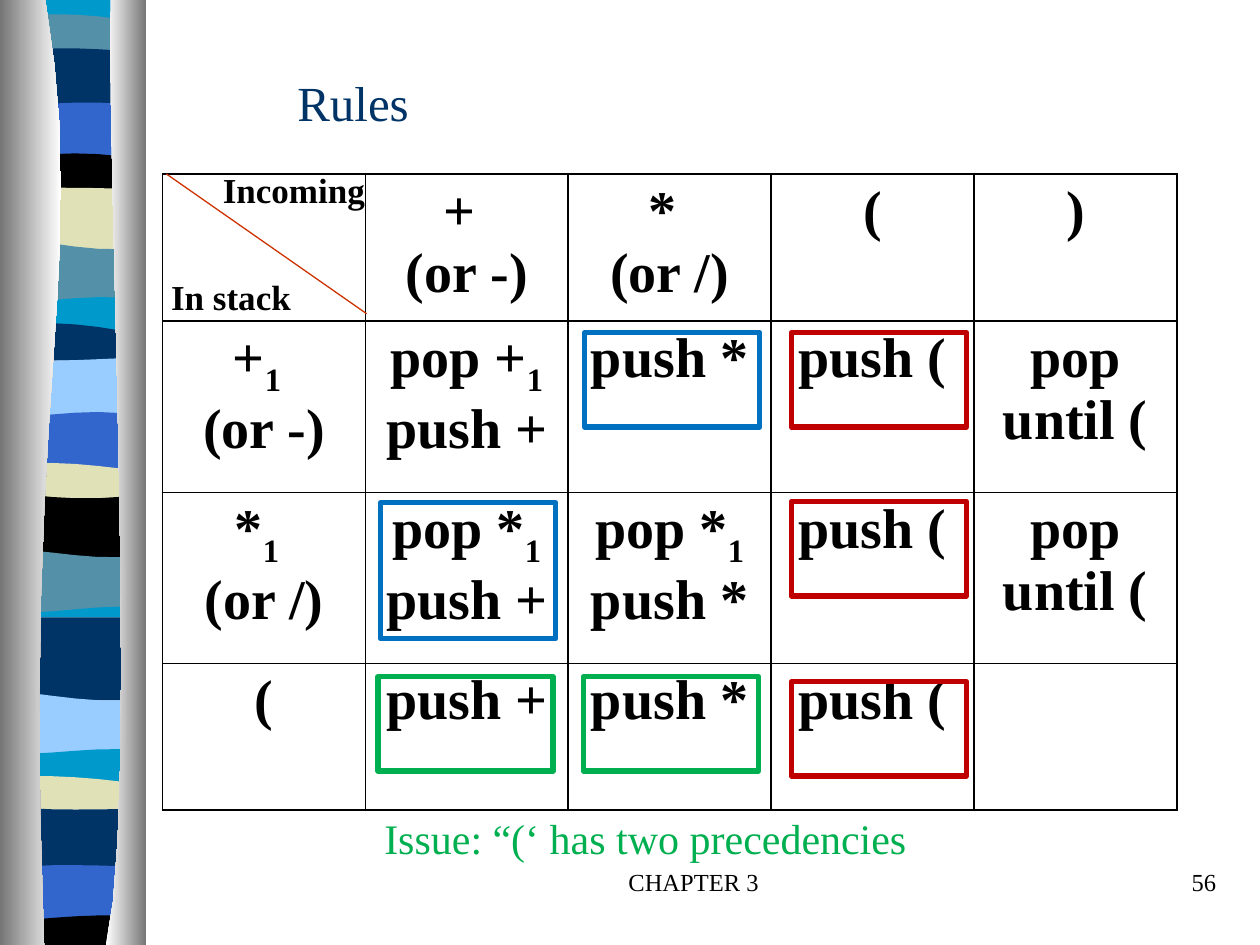
"""Build the slide of operator precedence rules for a stack."""
import dataclasses

import lxml.etree
import pptx
import pptx.dml.color
import pptx.enum.shapes
import pptx.enum.text
import pptx.oxml.ns
import pptx.util

WIDTH, HEIGHT = 10, 7.5
COLUMNS = [1.61] * 5
ROWS = [1.16, 1.36, 1.36, 1.16]
TABLE_LEFT, TABLE_TOP = 1.29, 1.38
RIBBON_LEFT, RIBBON_RIGHT = 0.05, 1.14
ALIGN = pptx.enum.text.PP_ALIGN


@dataclasses.dataclass(frozen=True)
class Theme:
    """Colours, typeface and type sizes of the slide."""
    font: str = "Times New Roman"
    ink: str = "000000"
    paper: str = "FFFFFF"
    navy: str = "003366"
    royal: str = "3366CC"
    cyan: str = "0099CC"
    teal: str = "5490A8"
    sand: str = "E1E1B7"
    sky: str = "99CCFF"
    grey: str = "767676"
    rust: str = "CC3300"
    blue: str = "0070C0"
    red: str = "C00000"
    green: str = "00B050"
    footer: int = 14
    label: int = 20
    note: int = 24
    title: int = 28
    cell: int = 32


THEME = Theme()

BANDS = [
    (THEME.cyan, (0, 0, 0, 0)),
    (THEME.teal, (0.15, 0.08, 0.12, 0.18)),
    (THEME.navy, (0.44, 0.34, 0.4, 0.41)),
    (THEME.royal, (0.84, 0.83, 0.78, 0.85)),
    (THEME.ink, (1.27, 1.2, 1.2, 1.27)),
    (THEME.sand, (1.48, 1.5, 1.48, 1.51)),
    (THEME.teal, (1.88, 1.92, 2.02, 1.96)),
    (THEME.cyan, (2.4, 2.4, 2.32, 2.38)),
    (THEME.navy, (2.58, 2.54, 2.58, 2.66)),
    (THEME.sky, (2.84, 2.89, 2.84, 2.84)),
    (THEME.royal, (3.31, 3.31, 3.22, 3.31)),
    (THEME.sand, (3.7, 3.64, 3.7, 3.74)),
    (THEME.ink, (3.9, 3.96, 3.98, 3.92)),
    (THEME.teal, (4.36, 4.36, 4.47, 4.4)),
    (THEME.cyan, (4.86, 4.88, 4.79, 4.82)),
    (THEME.navy, (4.9, 4.9, 4.9, 4.9)),
    (THEME.sky, (5.48, 5.51, 5.6, 5.54)),
    (THEME.cyan, (5.98, 6, 5.91, 5.96)),
    (THEME.sand, (6.16, 6.15, 6.17, 6.23)),
    (THEME.navy, (6.4, 6.44, 6.42, 6.42)),
    (THEME.royal, (6.89, 6.85, 6.87, 6.88)),
    (THEME.ink, (7.32, 7.28, 7.25, 7.27)),
]

CELLS = [
    ["", "+ \n(or -)", "* \n(or /)", "(", ")"],
    ["+_1 \n(or -)", "pop +_1\npush +", "push *", "push (", "pop until ("],
    ["*_1 \n(or /)", "pop *_1 push +", "pop *_1 push *", "push (", "pop until ("],
    ["(", "push +", "push *", "push (", ""],
]

HIGHLIGHTS = [
    (1, 2, 0.12, 0.09, 1.08, THEME.blue),
    (2, 1, 0.13, 0.1, 0.75, THEME.blue),
    (3, 1, 0.16, 0.1, 0.75, THEME.red),
    (3, 2, 0.16, 0.08, 0.75, THEME.red),
    (3, 3, 0.16, 0.15, 0.75, THEME.red),
    (1, 3, 0.1, 0.11, 0.75, THEME.green),
    (2, 3, 0.12, 0.11, 0.75, THEME.green),
]


def rgb(value):
    """Return a colour object for a hex value."""
    return pptx.dml.color.RGBColor.from_string(value)


def inches(*lengths):
    """Return lengths in the file's units."""
    return [pptx.util.Inches(length) for length in lengths]


def apply(target, values):
    """Set each attribute of the target from a dict."""
    for name, value in values.items():
        setattr(target, name, value)


def write(frame, text, size, colour=THEME.ink, bold=False, align=ALIGN.LEFT):
    """Write lines of text, with the character after an underscore lowered."""
    values = {"name": THEME.font, "size": pptx.util.Pt(size), "bold": bold}
    for index, line in enumerate(text.split("\n")):
        para = frame.paragraphs[0] if index == 0 else frame.add_paragraph()
        para.alignment = align
        base, _, lowered = line.partition("_")
        for piece, offset in ((base, 0), (lowered[:1], -25000), (lowered[1:], 0)):
            if piece:
                span = para.add_run()
                span.text = piece
                apply(span.font, values)
                span.font.color.rgb = rgb(colour)
                if offset:
                    span.font._element.set("baseline", str(offset))


def add_text(page, place, text, size, wrap=False, inset=0.1, **style):
    """Add a text box."""
    frame = page.shapes.add_textbox(*inches(*place)).text_frame
    apply(frame, {"word_wrap": wrap, "margin_left": pptx.util.Inches(inset)})
    write(frame, text, size, **style)


def curve(*controls, steps=6):
    """Return points along a cubic curve given by four control points."""
    points = []
    for step in range(steps + 1):
        t = step / steps
        weights = ((1 - t) ** 3, 3 * t * (1 - t) ** 2, 3 * t * t * (1 - t), t ** 3)
        points.append(tuple(sum(w * c[axis] for w, c in zip(weights, controls))
                            for axis in (0, 1)))
    return points


def add_outline(page, points):
    """Add a closed freeform without a line."""
    corners = [inches(*point) for point in points]
    builder = page.shapes.build_freeform(*corners[0])
    builder.add_line_segments(corners[1:], close=True)
    shape = builder.convert_to_shape()
    shape.shadow.inherit = False
    shape.line.fill.background()
    return shape


def add_pillar(page, points, colours):
    """Add a pillar shaded from left to right."""
    fill = add_outline(page, points).fill
    fill.gradient()
    fill.gradient_angle = 0
    for stop, colour, position in zip(fill.gradient_stops, colours, (0, 1)):
        stop.color.rgb = rgb(colour)
        stop.position = position


def add_ribbon(page):
    """Add the wavy bands, each overlapped by the next, between two pillars."""
    third = (RIBBON_RIGHT - RIBBON_LEFT) / 3
    stations = [RIBBON_LEFT + third * index for index in range(4)]
    edges = [curve(*zip(stations, heights)) for _, heights in BANDS]
    floors = [max(y for _, y in edge) for edge in edges[1:]] + [HEIGHT]
    for (colour, _), edge, floor in zip(BANDS, edges, floors):
        fill = add_outline(page, edge + [(RIBBON_RIGHT, floor), (RIBBON_LEFT, floor)]).fill
        fill.solid()
        fill.fore_color.rgb = rgb(colour)
    left = curve((0.36, 0), (0.72, 2.16), (0.17, 2.96), (0.35, HEIGHT), steps=12)
    right = curve((0.88, 0), (0.84, 1.25), (1.11, 6.46), (0.84, HEIGHT), steps=12)
    add_pillar(page, left + [(0, HEIGHT), (0, 0)], (THEME.grey, THEME.paper))
    add_pillar(page, right + [(1.16, HEIGHT), (1.16, 0)], (THEME.paper, THEME.grey))


def add_borders(cell):
    """Draw a thin line on each side of a cell."""
    properties = cell._tc.get_or_add_tcPr()
    qn = pptx.oxml.ns.qn
    for side in "LRTB":
        line = lxml.etree.SubElement(properties, qn(f"a:ln{side}"), w="12700")
        solid = lxml.etree.SubElement(line, qn("a:solidFill"))
        lxml.etree.SubElement(solid, qn("a:srgbClr"), val=THEME.ink)


def add_rules(page):
    """Add the table of actions."""
    place = inches(TABLE_LEFT, TABLE_TOP, sum(COLUMNS), sum(ROWS))
    table = page.shapes.add_table(len(ROWS), len(COLUMNS), *place).table
    apply(table, {"first_row": False, "horz_banding": False})
    for column, width in zip(table.columns, inches(*COLUMNS)):
        column.width = width
    for row, height, texts in zip(table.rows, inches(*ROWS), CELLS):
        row.height = height
        for cell, text in zip(row.cells, texts):
            add_borders(cell)
            cell.fill.solid()
            cell.fill.fore_color.rgb = rgb(THEME.paper)
            write(cell.text_frame, text, THEME.cell, bold=True, align=ALIGN.CENTER)


def add_highlight(page, column, row, across, down, height, colour):
    """Add a frame inset from the corner of a table cell."""
    left = TABLE_LEFT + sum(COLUMNS[:column]) + across
    top = TABLE_TOP + sum(ROWS[:row]) + down
    kind = pptx.enum.shapes.MSO_SHAPE.RECTANGLE
    box = page.shapes.add_shape(kind, *inches(left, top, 1.39, height))
    box.shadow.inherit = False
    box.fill.background()
    box.line.color.rgb = rgb(colour)
    box.line.width = pptx.util.Pt(3)


def add_diagonal(page):
    """Add the line that splits the corner cell."""
    kind = pptx.enum.shapes.MSO_CONNECTOR.STRAIGHT
    line = page.shapes.add_connector(kind, *inches(1.32, TABLE_TOP, 2.91, 2.49))
    line.line.color.rgb = rgb(THEME.rust)
    line.line.width = pptx.util.Pt(0.75)
    lxml.etree.SubElement(line._element.spPr, pptx.oxml.ns.qn("a:effectLst"))


def add_title(page):
    """Place and fill the title placeholder."""
    title = page.shapes.title
    apply(title, dict(zip(("left", "top", "width", "height"),
                          inches(2.26, 0.52, 1.09, 0.57))))
    title.text_frame.word_wrap = False
    write(title.text_frame, "Rules", THEME.title, THEME.navy)


def main():
    """Build and save the deck."""
    deck = pptx.Presentation()
    deck.slide_width, deck.slide_height = inches(WIDTH, HEIGHT)
    page = deck.slides.add_slide(deck.slide_layouts[5])
    add_ribbon(page)
    add_title(page)
    for place, text, align in (((3.92, 6.83, 3.17, 0.5), "CHAPTER 3", ALIGN.CENTER),
                               ((7.67, 6.83, 2.08, 0.5), "56", ALIGN.RIGHT)):
        add_text(page, place, text, THEME.footer, True, align=align)
    add_rules(page)
    add_text(page, (1.26, 2.14, 1.16, 0.44), "In stack", THEME.label, bold=True)
    add_text(page, (1.67, 1.29, 1.34, 0.44), "Incoming", THEME.label, bold=True)
    add_diagonal(page)
    for highlight in HIGHLIGHTS:
        add_highlight(page, *highlight)
    add_text(page, (1.95, 6.4, 5.4, 0.5), "Issue: “(‘ has two precedencies",
             THEME.note, True, 1.1, colour=THEME.green)
    deck.save("out.pptx")


if __name__ == "__main__":
    main()
